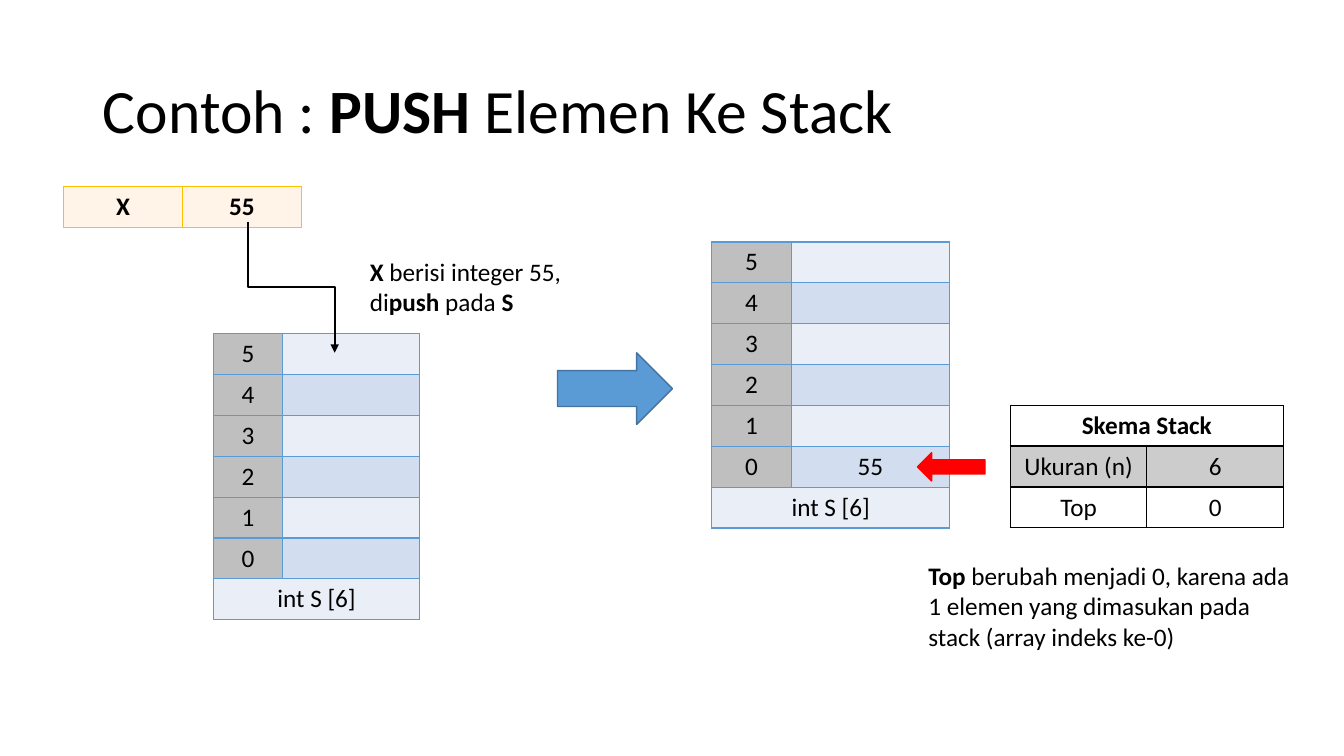
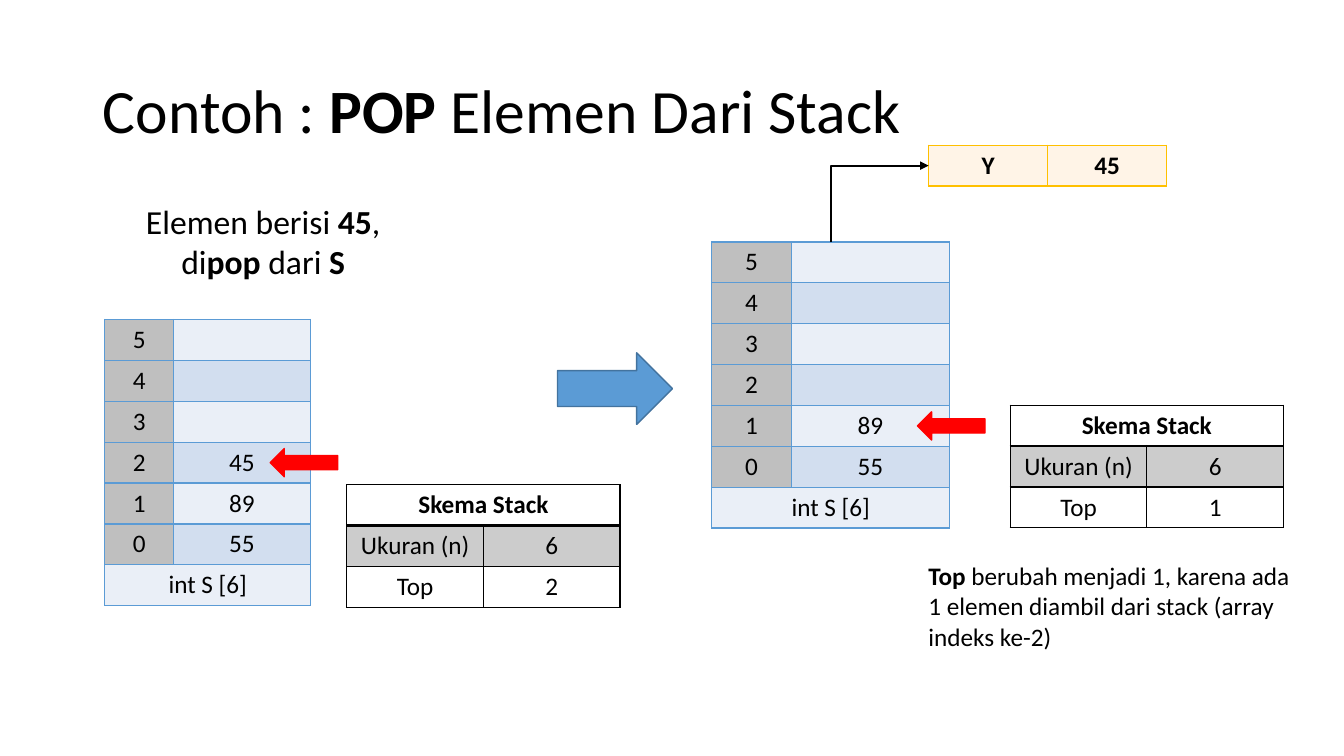
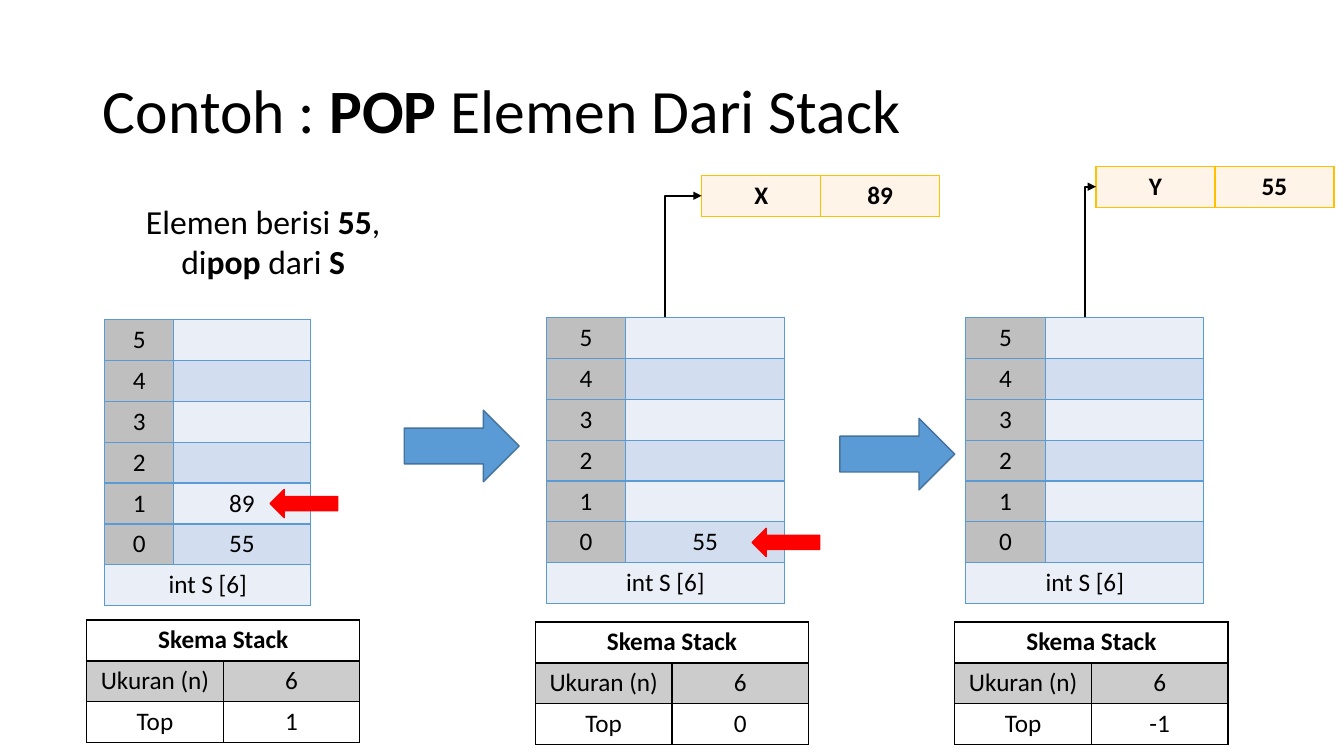
from lxml import etree
from pptx import Presentation
from pptx import util as u
from pptx.dml.color import RGBColor
from pptx.enum import shapes, text
from pptx.oxml.ns import qn

FONT = "Calibri"
BLACK, RED, BLUE, BLUE_EDGE = "000000", "FF0000", "5B9BD5", "43739E"
GREY, PALE, MID = "BFBFBF", "EAEFF7", "D2DEEF"
GOLD, CREAM = "FFC000", "FFF4E7"
CAPACITY = 6
ROW = 2.84 / (CAPACITY + 1)
NARROW, WIDE = 2.04, 2.36
POINTER_OVERLAP = {NARROW: 0.4, WIDE: 0.32}


def color(value):
    return RGBColor.from_string(value)


def inches(*values):
    return [u.Inches(value) for value in values]


def write(para, marked, size, align=text.PP_ALIGN.LEFT, bold=False):
    """Add runs to a paragraph; parts between asterisks are bold."""
    para.alignment = align
    for index, part in enumerate(marked.split("*")):
        if part:
            span = para.add_run()
            span.text = part
            span.font.name = FONT
            span.font.size = u.Pt(size)
            span.font.bold = bold or index % 2 == 1
            span.font.color.rgb = color(BLACK)


def note(page, left, top, width, height, marked, size=18, align=text.PP_ALIGN.LEFT):
    box = page.shapes.add_textbox(*inches(left, top, width, height))
    box.text_frame.word_wrap = True
    box.text_frame.auto_size = text.MSO_AUTO_SIZE.SHAPE_TO_FIT_TEXT
    write(box.text_frame.paragraphs[0], marked, size, align)


def block_arrow(page, preset, left, top, width, height, fill, edge):
    arrow = page.shapes.add_shape(preset, *inches(left, top, width, height))
    arrow.shadow.inherit = False
    arrow.fill.solid()
    arrow.fill.fore_color.rgb = color(fill)
    arrow.line.color.rgb = color(edge)
    arrow.line.width = u.Pt(1)


def step_arrow(page, left, top):
    block_arrow(page, shapes.MSO_SHAPE.RIGHT_ARROW, left, top, 1.14, 0.71, BLUE, BLUE_EDGE)


def set_borders(cell, value, top=1, bottom=1):
    props = cell._tc.get_or_add_tcPr()
    for index, (side, points) in enumerate(zip("LRTB", (1, 1, top, bottom))):
        line = etree.Element(qn("a:ln" + side), w=str(u.Pt(points)))
        solid = etree.SubElement(line, qn("a:solidFill"))
        etree.SubElement(solid, qn("a:srgbClr"), val=value)
        props.insert(index, line)


def grid(page, left, top, widths, rows):
    """Add a plain table of centred texts and return it."""
    frame = page.shapes.add_table(
        len(rows), len(widths), *inches(left, top, sum(widths), ROW * len(rows)))
    table = frame.table
    table.first_row = table.horz_banding = False
    for column, width in zip(table.columns, widths):
        column.width = u.Inches(width)
    for row, texts in zip(table.rows, rows):
        row.height = u.Inches(ROW)
        for cell, (words, bold) in zip(row.cells, texts):
            write(cell.text_frame.paragraphs[0], words, 18, text.PP_ALIGN.CENTER, bold)
    return table


def paint(cell, value, alpha=None):
    cell.fill.solid()
    cell.fill.fore_color.rgb = color(value)
    if alpha:
        tone = cell._tc.tcPr.find(".//" + qn("a:srgbClr"))
        etree.SubElement(tone, qn("a:alpha"), val=str(alpha * 1000))


def stack(page, left, top, width, values):
    """Draw the array, its values from index 0 up, and a pointer at the top one."""
    rows = []
    for index in reversed(range(CAPACITY)):
        value = values[index] if index < len(values) else ""
        rows.append([(str(index), False), (value, False)])
    rows.append([(f"int S [{CAPACITY}]", False), ("", False)])
    table = grid(page, left, top, [width / 3, width * 2 / 3], rows)
    for number, row in enumerate(table.rows):
        band = MID if number % 2 else PALE
        for cell, fill in zip(row.cells, (GREY if number < CAPACITY else band, band)):
            paint(cell, fill)
            set_borders(cell, BLUE)
    table.cell(CAPACITY, 0).merge(table.cell(CAPACITY, 1))
    if values:
        middle = top + (CAPACITY - len(values) + 0.5) * ROW
        block_arrow(page, shapes.MSO_SHAPE.LEFT_ARROW, left + width - POINTER_OVERLAP[width],
                    middle - 0.14, 0.67, 0.28, RED, RED)


def schema(page, left, top, values):
    table = grid(page, left, top, [1.355, 1.355], [
        [("Skema Stack", True), ("", False)],
        [("Ukuran (n)", False), (str(CAPACITY), False)],
        [("Top", False), (str(len(values) - 1), False)]])
    for number, row in enumerate(table.rows):
        for cell in row.cells:
            if number == 1:
                paint(cell, BLACK, 20)
            else:
                cell.fill.background()
            set_borders(cell, BLACK, top=2 if number == 1 else 1, bottom=2 if number == 0 else 1)
    table.cell(0, 0).merge(table.cell(0, 1))


def variable(page, left, top, name, value):
    table = grid(page, left, top, [WIDE / 2, WIDE / 2], [[(name, True), (value, True)]])
    for cell in table.rows[0].cells:
        paint(cell, CREAM)
        set_borders(cell, GOLD)


def elbow(page, start, end, preset, turn, **flips):
    """Draw a bent arrow that leaves its start vertically."""
    (x1, y1), (x2, y2) = start, end
    line = page.shapes.add_connector(
        shapes.MSO_CONNECTOR.ELBOW, *inches(x1, y1, x2, y2))
    line.line.color.rgb = color(BLACK)
    line.line.width = u.Pt(1.5)
    width, height = abs(y2 - y1), abs(x2 - x1)
    line.left, line.top, line.width, line.height = inches(
        (x1 + x2 - width) / 2, (y1 + y2 - height) / 2, width, height)
    props = line._element.spPr
    frame = props.find(qn("a:xfrm"))
    for name in ("flipH", "flipV"):
        frame.attrib.pop(name, None)
    for name, value in {"rot": str(turn * 60000), **flips}.items():
        frame.set(name, value)
    props.find(qn("a:prstGeom")).set("prst", preset)
    etree.SubElement(props.find(qn("a:ln")), qn("a:tailEnd"), type="triangle")
    etree.SubElement(props, qn("a:effectLst"))


def popped(page, stack_left, stack_top, left, top, name, value):
    """Draw a variable and the arrow that brings it a value from a wide stack."""
    variable(page, left, top, name, value)
    elbow(page, (stack_left + WIDE / 2, stack_top), (left, top + ROW / 2),
          "bentConnector2", 90, flipH="1", flipV="1")


def new_page(deck, title):
    page = deck.slides.add_slide(deck.slide_layouts[5])
    para = page.shapes.title.text_frame.paragraphs[0]
    para.line_spacing = 0.9
    write(para, title, 44)
    return page


def outcome(page, values, remark):
    """Right half of a two-step slide: arrow, resulting stack, schema and remark."""
    step_arrow(page, 5.53, 3.5)
    stack(page, 7.06, 2.4, WIDE, values)
    schema(page, 10.02, 4.02, values)
    note(page, 9.11, 5.51, 3.84, 1.01, remark)


def pop_source(page, values):
    """Left part of a pop slide: what is popped and the stack before it."""
    note(page, 0.92, 1.94, 3.38, 0.91, f"Elemen berisi *{values[-1] if len(values) > 2 else values[0]}*, di*pop *dari *S*",
         24, text.PP_ALIGN.CENTER)
    stack(page, 1.04, 3.17, NARROW, values)


def push_slide(deck):
    page = new_page(deck, "Contoh : *PUSH *Elemen Ke Stack")
    stack(page, 2.12, 3.31, NARROW, [])
    variable(page, 0.63, 1.85, "X", "55")
    elbow(page, (2.46, 2.2), (3.32, 3.5), "bentConnector3", 270, flipH="1")
    note(page, 3.57, 2.49, 2.11, 0.71, "*X *berisi integer 55, di*push *pada *S*")
    outcome(page, ["55"], "*Top *berubah menjadi 0, karena ada 1 elemen yang "
                          "dimasukan pada stack (array indeks ke-0)")


def pop_slide(deck):
    page = new_page(deck, "Contoh : *POP *Elemen Dari Stack")
    before = ["55", "89", "45"]
    pop_source(page, before)
    schema(page, 3.44, 4.81, before)
    outcome(page, before[:-1], "*Top *berubah menjadi 1, karena ada 1 elemen "
                               "diambil dari stack (array indeks ke-2)")
    popped(page, 7.06, 2.4, 9.21, 1.44, "Y", "45")


def pop_all_slide(deck):
    page = new_page(deck, "Contoh : *POP *Elemen Dari Stack")
    before = ["55", "89"]
    pop_source(page, before)
    schema(page, 0.86, 6.15, before)
    steps = [(5.42, (4.01, 4.07), (6.96, 1.74), "X"),
             (9.58, (8.33, 4.15), (10.87, 1.65), "Y")]
    for left, arrow, target, name in steps:
        *before, value = before
        step_arrow(page, *arrow)
        stack(page, left, 3.15, WIDE, before)
        schema(page, left - 0.11, 6.17, before)
        popped(page, left, 3.15, *target, name, value)


def main():
    deck = Presentation()
    deck.slide_width, deck.slide_height = inches(13.33, 7.5)
    title = deck.slide_layouts[5].placeholders[0]
    title.left, title.top, title.width, title.height = inches(0.92, 0.4, 11.5, 1.45)
    for build in (push_slide, pop_slide, pop_all_slide):
        build(deck)
    deck.save("out.pptx")


if __name__ == "__main__":
    main()
